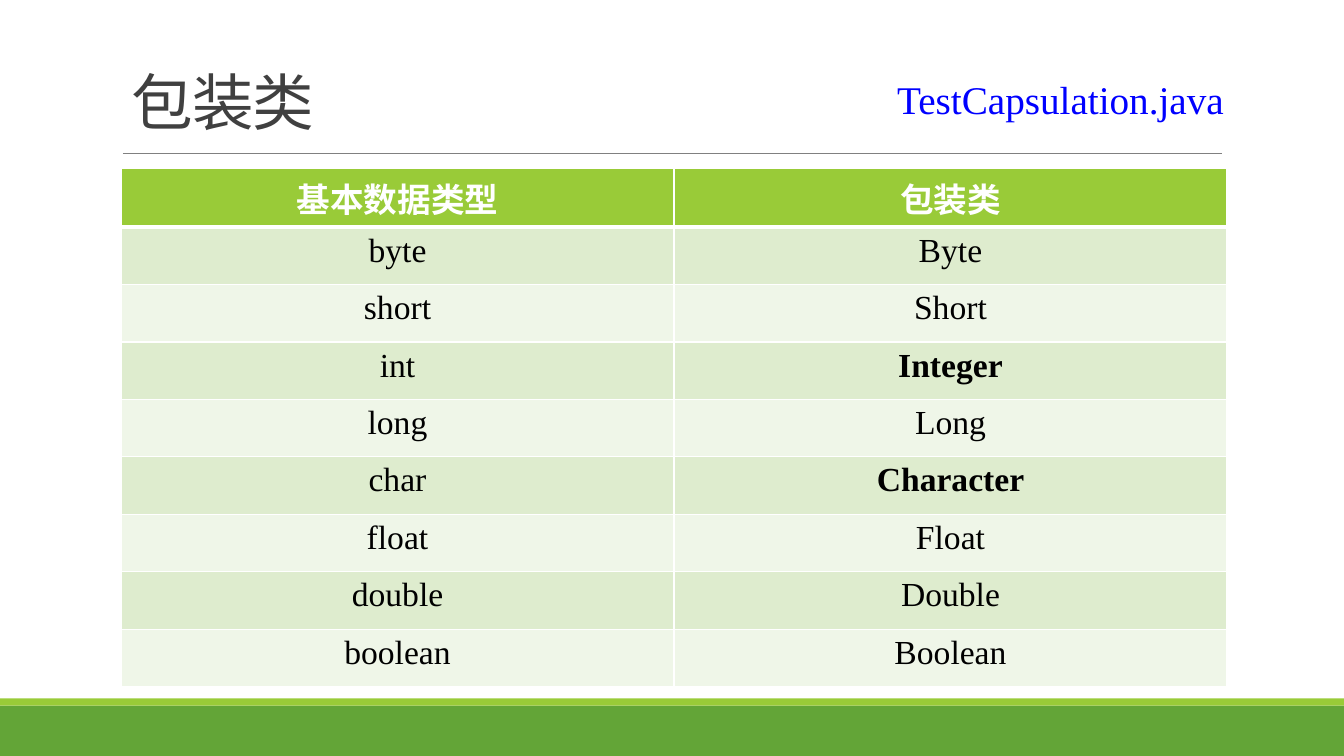
from dataclasses import dataclass

from lxml import etree
from pptx import Presentation
from pptx.dml.color import RGBColor
from pptx.enum.shapes import MSO_CONNECTOR, MSO_SHAPE
from pptx.enum.text import MSO_ANCHOR, MSO_AUTO_SIZE, PP_ALIGN
from pptx.oxml.ns import qn
from pptx.slide import Slide
from pptx.table import _Cell
from pptx.text.text import _Paragraph
from pptx.util import Inches, Pt

LEFT, CENTER = PP_ALIGN.LEFT, PP_ALIGN.CENTER
BOTTOM = MSO_ANCHOR.BOTTOM
NO_AUTOFIT = MSO_AUTO_SIZE.NONE
FIT_SHAPE = MSO_AUTO_SIZE.SHAPE_TO_FIT_TEXT
RECTANGLE = MSO_SHAPE.RECTANGLE
STRAIGHT = MSO_CONNECTOR.STRAIGHT

FONT = "Times New Roman"
WHITE = RGBColor(0xFF, 0xFF, 0xFF)
BLACK = RGBColor(0x00, 0x00, 0x00)
DARK_GRAY = RGBColor(0x40, 0x40, 0x40)
RULE_GRAY = RGBColor(0x80, 0x80, 0x80)
BLUE = RGBColor(0x00, 0x00, 0xFF)
GREEN = RGBColor(0x63, 0xA5, 0x37)
LIME = RGBColor(0x99, 0xCB, 0x38)
BAND_DARK = RGBColor(0xDE, 0xEC, 0xCE)
BAND_LIGHT = RGBColor(0xEF, 0xF6, 0xE8)

SLIDE_WIDTH, SLIDE_HEIGHT = 13.33, 7.5
TABLE_WIDTH, ROW_HEIGHT = 10.97, 0.57


@dataclass(frozen=True)
class FooterBand:
    top: float
    height: float
    color: RGBColor


@dataclass(frozen=True)
class TypePair:
    primitive: str
    wrapper: str
    emphasized: bool = False


FOOTER_BANDS = [FooterBand(7, 0.5, GREEN), FooterBand(6.93, 0.07, LIME)]
HEADER = TypePair("基本数据类型", "包装类")
TYPE_PAIRS = [
    TypePair("byte", "Byte"),
    TypePair("short", "Short"),
    TypePair("int", "Integer", emphasized=True),
    TypePair("long", "Long"),
    TypePair("char", "Character", emphasized=True),
    TypePair("float", "Float"),
    TypePair("double", "Double"),
    TypePair("boolean", "Boolean"),
]


def format_text(paragraph: _Paragraph, size: float, color: RGBColor,
                bold: bool = False, align: PP_ALIGN = LEFT) -> None:
    paragraph.alignment = align
    for run in paragraph.runs:
        run.font.name = FONT
        run.font.size = Pt(size)
        run.font.bold = bold
        run.font.color.rgb = color


def add_footer_band(slide: Slide, band: FooterBand) -> None:
    strip = slide.shapes.add_shape(RECTANGLE, 0, Inches(band.top),
                                   Inches(SLIDE_WIDTH), Inches(band.height))
    strip.shadow.inherit = False
    strip.fill.solid()
    strip.fill.fore_color.rgb = band.color
    strip.line.fill.background()


def add_title_rule(slide: Slide) -> None:
    rule = slide.shapes.add_connector(STRAIGHT, Inches(1.22), Inches(1.52),
                                      Inches(12.12), Inches(1.52))
    rule.line.color.rgb = RULE_GRAY
    rule.line.width = Pt(0.5)
    etree.SubElement(rule._element.spPr, qn("a:effectLst"))


def set_title(slide: Slide) -> None:
    title = slide.shapes.title
    title.left, title.top = Inches(1.2), Inches(0.31)
    title.width, title.height = Inches(11), Inches(1.11)
    frame = title.text_frame
    frame.text = "包装类"
    frame.vertical_anchor = BOTTOM
    frame.auto_size = NO_AUTOFIT
    heading = frame.paragraphs[0]
    heading.line_spacing = 0.85
    format_text(heading, 44, DARK_GRAY)
    heading.runs[0].font._element.set("spc", "-50")


def add_file_name(slide: Slide) -> None:
    file_name = slide.shapes.add_textbox(Inches(8.8), Inches(0.7),
                                         Inches(3.83), Inches(0.57))
    frame = file_name.text_frame
    frame.word_wrap = True
    frame.auto_size = FIT_SHAPE
    frame.text = "TestCapsulation.java"
    format_text(frame.paragraphs[0], 28, BLUE)


def set_borders(cell: _Cell, top: float, bottom: float) -> None:
    """Draw white borders, 1 pt at the sides."""
    properties = cell._tc.get_or_add_tcPr()
    widths = {"a:lnL": 1, "a:lnR": 1, "a:lnT": top, "a:lnB": bottom}
    for position, (tag, width) in enumerate(widths.items()):
        border = etree.Element(qn(tag), w=str(Pt(width)))
        fill = etree.SubElement(border, qn("a:solidFill"))
        etree.SubElement(fill, qn("a:srgbClr"), val=str(WHITE))
        properties.insert(position, border)


def add_type_table(slide: Slide) -> None:
    pairs = [HEADER, *TYPE_PAIRS]
    table = slide.shapes.add_table(
        len(pairs), 2, Inches(1.2), Inches(1.67),
        Inches(TABLE_WIDTH), Inches(ROW_HEIGHT * len(pairs))).table
    for index, pair in enumerate(pairs):
        is_header = index == 0
        band = BAND_DARK if index % 2 else BAND_LIGHT
        for column, text in enumerate((pair.primitive, pair.wrapper)):
            cell = table.cell(index, column)
            cell.text_frame.text = text
            cell.fill.solid()
            cell.fill.fore_color.rgb = LIME if is_header else band
            format_text(cell.text_frame.paragraphs[0], 24,
                        WHITE if is_header else BLACK,
                        bold=is_header or (pair.emphasized and column == 1),
                        align=CENTER)
            set_borders(cell, top=3 if index == 1 else 1,
                        bottom=3 if is_header else 1)


def main() -> None:
    presentation = Presentation()
    presentation.slide_width = Inches(SLIDE_WIDTH)
    presentation.slide_height = Inches(SLIDE_HEIGHT)
    slide = presentation.slides.add_slide(presentation.slide_layouts[5])
    for band in FOOTER_BANDS:
        add_footer_band(slide, band)
    add_title_rule(slide)
    set_title(slide)
    add_type_table(slide)
    add_file_name(slide)
    presentation.save("out.pptx")


if __name__ == "__main__":
    main()
